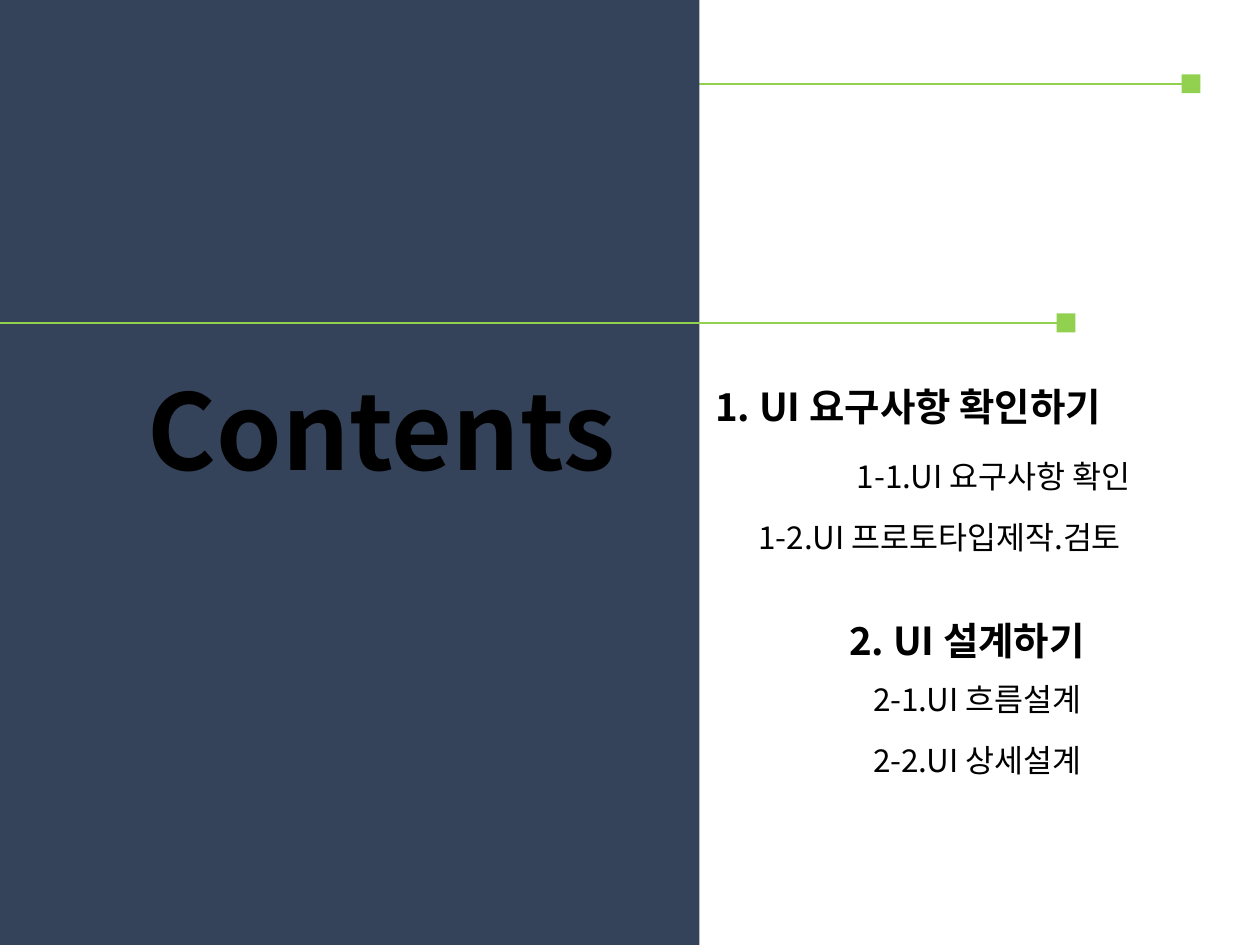
from lxml.etree import SubElement
from pptx import Presentation
from pptx.dml.color import RGBColor
from pptx.enum.shapes import MSO_CONNECTOR as Connector, MSO_SHAPE as Shape
from pptx.enum.text import MSO_AUTO_SIZE as AutoSize, PP_ALIGN as Align
from pptx.oxml.ns import qn
from pptx.util import Cm, Pt

NAVY = RGBColor(0x34, 0x42, 0x5A)
GREEN = RGBColor(0x92, 0xD0, 0x50)
BLACK = RGBColor(0, 0, 0)
FONT = "Noto Sans CJK KR"
SLIDE_WIDTH, SLIDE_HEIGHT = 25.4, 19.05
PANEL_WIDTH = 14.1
MARKER_SIZE = 0.38
HEADING_HEIGHT, ITEM_HEIGHT, ITEM_STEP = 1.19, 1.02, 1.22

SECTIONS = [
    (7.59, ("1. UI 요구사항 확인하기", 14.17, 8.79), 1.5,
     [("1-1.UI 요구사항 확인", 17.02, 6.27),
      ("1-2.UI 프로토타입제작.검토", 15.04, 8.33)]),
    (12.32, ("2. UI 설계하기", 16.87, 5.72), 1.27,
     [("2-1.UI 흐름설계", 17.35, 4.93),
      ("2-2.UI 상세설계", 17.35, 4.93)]),
]


def add_block(slide, left, top, width, height, color):
    block = slide.shapes.add_shape(
        Shape.RECTANGLE, Cm(left), Cm(top), Cm(width), Cm(height))
    block.shadow.inherit = False
    block.fill.solid()
    block.fill.fore_color.rgb = color
    block.line.fill.background()
    return block


def add_label(slide, text, left, top, width, height, *, size,
              bold=False, align=Align.LEFT, wrap=False):
    label = slide.shapes.add_textbox(Cm(left), Cm(top), Cm(width), Cm(height))
    frame = label.text_frame
    frame.word_wrap = wrap
    frame.auto_size = AutoSize.SHAPE_TO_FIT_TEXT
    paragraph = frame.paragraphs[0]
    paragraph.alignment = align
    run = paragraph.add_run()
    run.text = text
    run.font.name = FONT
    run.font.size = Pt(size)
    run.font.bold = bold
    run.font.color.rgb = BLACK
    SubElement(run.font._element, qn("a:ea"), typeface=FONT)


def add_marked_rule(slide, left, middle, length):
    end = left + length
    marker = add_block(slide, end, middle - MARKER_SIZE / 2,
                       MARKER_SIZE, MARKER_SIZE, GREEN)
    rule = slide.shapes.add_connector(
        Connector.STRAIGHT, Cm(left), Cm(middle), Cm(end), Cm(middle))
    rule.line.color.rgb = GREEN
    rule.line.width = Pt(1.5)
    SubElement(rule._element.spPr, qn("a:effectLst"))
    rule.end_connect(marker, 1)


def add_title_panel(slide, left, top, width, height):
    add_block(slide, left, top, width, height, NAVY)
    add_label(slide, "Contents", left + 1.09, top + 7.24, 11.56, 2.79,
              size=60, bold=True, align=Align.RIGHT, wrap=True)


def add_section(slide, top, heading, first_offset, items):
    title, left, width = heading
    add_label(slide, title, left, top, width, HEADING_HEIGHT,
              size=22, bold=True)
    for index, (item, left, width) in enumerate(items):
        add_label(slide, item, left, top + first_offset + index * ITEM_STEP,
                  width, ITEM_HEIGHT, size=18)


def main():
    deck = Presentation()
    deck.slide_width, deck.slide_height = Cm(SLIDE_WIDTH), Cm(SLIDE_HEIGHT)
    slide = deck.slides.add_slide(deck.slide_layouts[6])
    add_marked_rule(slide, 9.27, 1.69, 14.55)
    add_title_panel(slide, 0, 0, PANEL_WIDTH, SLIDE_HEIGHT)
    add_marked_rule(slide, 0, 6.51, 21.3)
    for section in SECTIONS:
        add_section(slide, *section)
    deck.save("out.pptx")


if __name__ == "__main__":
    main()
